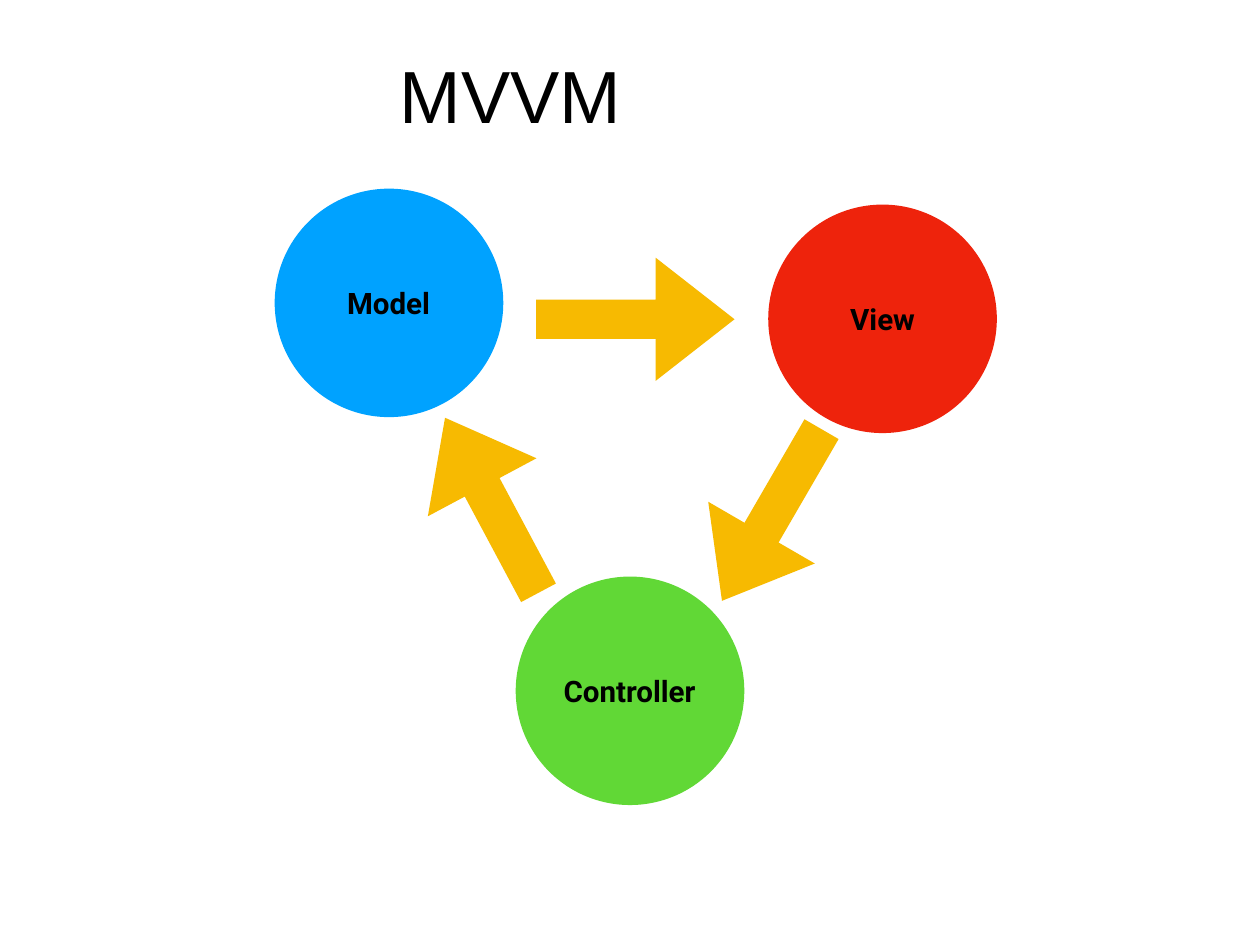
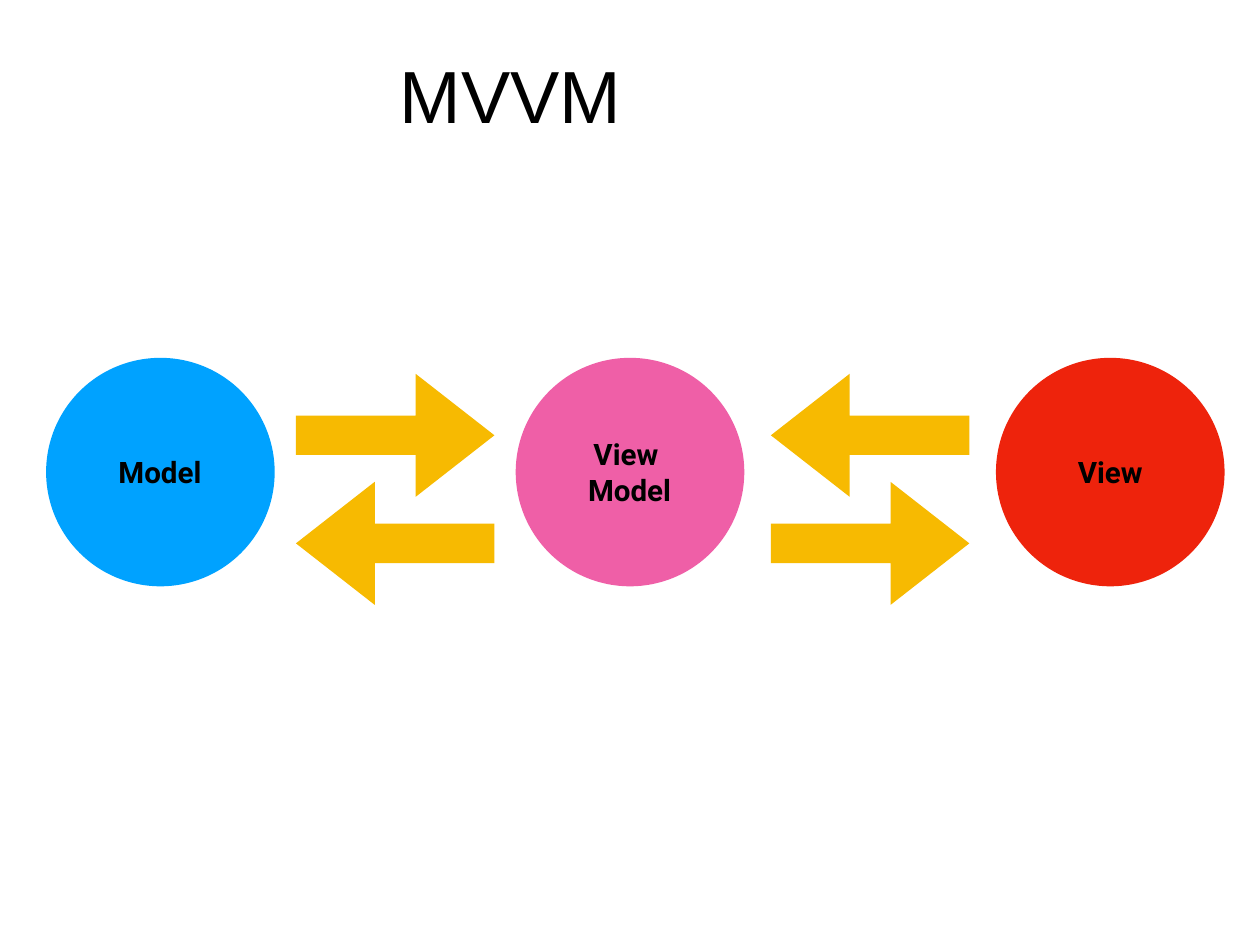
import dataclasses

import pptx
import pptx.dml.color
import pptx.enum.shapes
import pptx.enum.text
import pptx.util

PX = 9144  # EMU in one px, 100 px to the inch


@dataclasses.dataclass(frozen=True)
class Theme:
    ink: str = "000000"
    model: str = "00A2FF"
    view: str = "EE230C"
    controller: str = "61D836"
    view_model: str = "EF5FA7"
    arrow: str = "F7BA01"
    title_font: str = "Arial"
    title_size: int = 60
    label_font: str = "Roboto"
    label_size: int = 24


theme = Theme()

DIAMETER = 258
ARROW_WIDTH, ARROW_HEIGHT = 224, 139
INSET = 6
SHAPES = pptx.enum.shapes.MSO_SHAPE

# lines, fill, label width, centre x, centre y
# arrows: centre x, centre y, rotation
slides = [
    {
        "circles": [
            (["Model"], theme.model, 111, 439, 342),
            (["View"], theme.view, 88, 996, 360),
            (["Controller"], theme.controller, 171, 711, 780),
        ],
        "arrows": [(717, 360, 0), (871, 581, 120.1), (555, 570, 241.9)],
    },
    {
        "circles": [
            (["View ", "Model"], theme.view_model, 111, 711, 533),
            (["Model"], theme.model, 111, 181, 533),
            (["View"], theme.view, 88, 1253, 533),
        ],
        "arrows": [(446, 491, 0), (982, 491, 180), (446, 613, 180), (982, 613, 0)],
    },
]


def add_solid(shapes, preset, center_x, center_y, width, height, color):
    """Add a borderless filled shape around a centre point."""
    shape = shapes.add_shape(
        preset, (center_x - width // 2) * PX, (center_y - height // 2) * PX, width * PX, height * PX
    )
    shape.shadow.inherit = False
    shape.fill.solid()
    shape.fill.fore_color.rgb = pptx.dml.color.RGBColor.from_string(color)
    shape.line.fill.background()
    return shape


def add_text(shapes, left, top, width, height, lines, font, size, bold, wrap):
    box = shapes.add_textbox(left * PX, top * PX, width * PX, height * PX)
    frame = box.text_frame
    frame.word_wrap = wrap
    frame.auto_size = pptx.enum.text.MSO_AUTO_SIZE.SHAPE_TO_FIT_TEXT
    frame.vertical_anchor = pptx.enum.text.MSO_ANCHOR.MIDDLE
    frame.margin_left = frame.margin_right = INSET * PX
    frame.margin_top = frame.margin_bottom = INSET * PX
    for index, line in enumerate(lines):
        para = frame.add_paragraph() if index else frame.paragraphs[0]
        para.alignment = pptx.enum.text.PP_ALIGN.CENTER
        span = para.add_run()
        span.text = line
        span.font.name = font
        span.font.size = pptx.util.Pt(size)
        span.font.bold = bold
        span.font.color.rgb = pptx.dml.color.RGBColor.from_string(theme.ink)


deck = pptx.Presentation()
deck.slide_width = 1422 * PX
deck.slide_height = 1067 * PX

for content in slides:
    page = deck.slides.add_slide(deck.slide_layouts[6])

    for lines, color, label_width, center_x, center_y in content["circles"]:
        group = page.shapes.add_group_shape()
        add_solid(group.shapes, SHAPES.OVAL, center_x, center_y, DIAMETER, DIAMETER, color)
        label_height = 9 + 41 * len(lines)
        add_text(
            group.shapes, center_x - (label_width + 1) // 2, center_y - (label_height + 1) // 2,
            label_width, label_height, lines, theme.label_font, theme.label_size, True, False,
        )

    for center_x, center_y, rotation in content["arrows"]:
        arrow = add_solid(
            page.shapes, SHAPES.RIGHT_ARROW, center_x, center_y, ARROW_WIDTH, ARROW_HEIGHT, theme.arrow
        )
        arrow.adjustments[0] = 0.32
        arrow.adjustments[1] = 0.64
        arrow.rotation = rotation

    add_text(
        page.shapes, 9, 51, 1134, 111, ["MVVM"], theme.title_font, theme.title_size, False, True
    )

deck.save("out.pptx")
